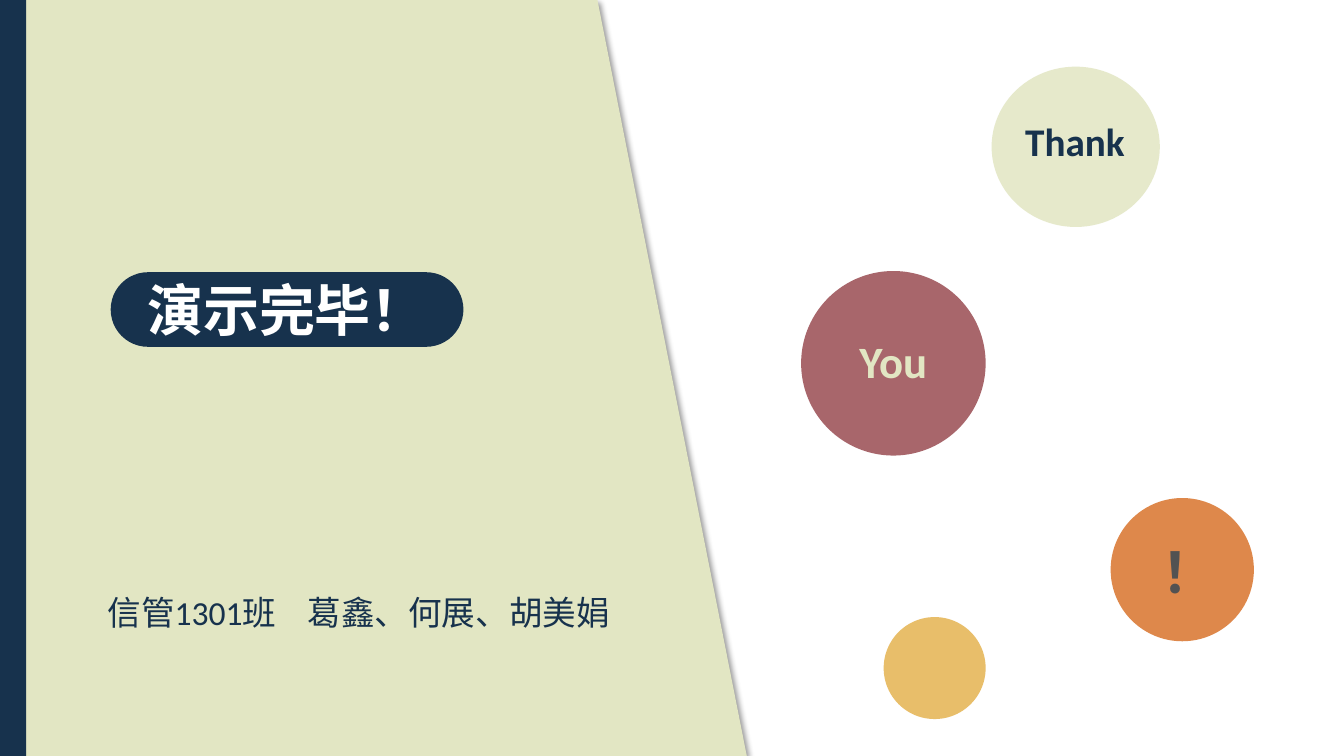
from dataclasses import dataclass
from lxml.etree import SubElement
from pptx import Presentation
from pptx.dml.color import RGBColor as RGB
from pptx.enum.shapes import MSO_SHAPE as Geo
from pptx.enum.text import MSO_ANCHOR as Anchor, PP_ALIGN as Align
from pptx.oxml.ns import qn
from pptx.util import Cm, Pt


@dataclass(frozen=True)
class Theme:
    navy: str = "17324D"
    sage: str = "E2E6C3"
    wine: str = "994C52"
    rust: str = "D9742C"
    gold: str = "E5B350"
    gray: str = "525252"
    white: str = "FFFFFF"
    latin: str = "Calibri"
    han: str = "Noto Sans CJK SC"
    huge: int = 40
    big: int = 32
    mid: int = 28
    small: int = 24


T = Theme()


def tint(parent, color, alpha):
    """Add a colour with an opacity in percent."""
    node = SubElement(parent, qn("a:srgbClr"), val=color)
    SubElement(node, qn("a:alpha"), val=str(alpha * 1000))


def shape(slide, geo, box, color):
    """Add a plain filled shape; box is left, top, width, height in cm."""
    part = slide.shapes.add_shape(geo, *map(Cm, box))
    part.shadow.inherit = False
    part.fill.solid()
    part.fill.fore_color.rgb = RGB.from_string(color)
    part.line.fill.background()
    return part


def write(part, text, size, color, bold=True, align=Align.CENTER, face=T.latin):
    """Put one styled line of text into a shape or text box."""
    frame = part.text_frame
    frame.word_wrap = True
    para = frame.paragraphs[0]
    para.alignment = align
    run = para.add_run()
    run.text = text
    style = {"size": Pt(size), "bold": bold, "name": face}
    for key, value in style.items():
        setattr(run.font, key, value)
    run.font.color.rgb = RGB.from_string(color)
    SubElement(run.font._element, qn("a:ea"), typeface=T.han)
    return para


def panel(slide, box):
    """Slanted panel, turned a quarter, with a soft shadow, and its side bar."""
    x, y, w, h = box
    part = shape(slide, Geo.FLOWCHART_MANUAL_INPUT,
                 (x + (w - h) / 2, y + (h - w) / 2, h, w), T.sage)
    part.rotation = 90
    glow = SubElement(part._element.spPr.find(qn("a:effectLst")), qn("a:outerShdw"),
                      blurRad=str(Pt(4)), dist=str(Pt(3)), dir=str(45 * 60000),
                      algn="tl", rotWithShape="0")
    tint(glow, "000000", 40)
    shape(slide, Geo.RECTANGLE, (0, 0, 0.66, h), T.navy)


def closing(slide, box):
    """Title pill with the line of names below it."""
    x, y, w, h = box
    pill = shape(slide, Geo.ROUNDED_RECTANGLE, (x + 0.33, y, 8.89, 1.88), T.navy)
    pill.adjustments[0] = 0.5
    pill.text_frame.vertical_anchor = Anchor.MIDDLE
    write(pill, "演示完毕！", T.huge, T.white)

    names = slide.shapes.add_textbox(*map(Cm, (x, y + h - 1.27, w, 1.27)))
    para = write(names, "信管1301班\t葛鑫、何展、胡美娟", T.small, T.navy,
                 bold=False, align=Align.LEFT)
    tabs = SubElement(para._p.get_or_add_pPr(), qn("a:tabLst"))
    SubElement(tabs, qn("a:tab"), pos=str(Cm(5.04)), algn="l")


def bubble(slide, box, color, label=None, place=None, style=None):
    """Translucent circle; place is the label's box relative to the circle."""
    part = shape(slide, Geo.OVAL, box, color)
    fill = part._element.spPr.find(qn("a:solidFill"))
    fill.remove(fill[0])
    tint(fill, color, 85)
    if label:
        dx, dy, w, h = place
        text = slide.shapes.add_textbox(*map(Cm, (box[0] + dx, box[1] + dy, w, h)))
        write(text, label, **style)


def thanks(slide, box):
    """Scattered bubbles on the right."""
    x, y = box[:2]
    items = [
        ((4.8, 0, 4.24, 4.04), T.sage, "Thank", (-0.3, 1.14, 4.8, 1.45),
         {"size": T.mid, "color": T.navy}),
        ((0, 5.15, 4.65, 4.65), T.wine, "You", (0, 1.45, 4.65, 1.63),
         {"size": T.big, "color": T.sage}),
        ((7.8, 10.87, 3.61, 3.61), T.rust, "！", (1.02, 0.86, 1.6, 1.96),
         {"size": T.huge, "color": T.gray, "align": Align.LEFT, "face": T.han}),
        ((2.08, 13.87, 2.57, 2.57), T.gold),
    ]
    for (dx, dy, w, h), *rest in items:
        bubble(slide, (x + dx, y + dy, w, h), *rest)


def main():
    deck = Presentation()
    deck.slide_width, deck.slide_height = Cm(33.87), Cm(19.05)
    slide = deck.slides.add_slide(deck.slide_layouts[6])
    panel(slide, (0, 0, 18.82, 19.05))
    closing(slide, (2.46, 6.86, 13.92, 9.19))
    thanks(slide, (20.19, 1.68, 11.41, 16.44))
    deck.save("out.pptx")


if __name__ == "__main__":
    main()
